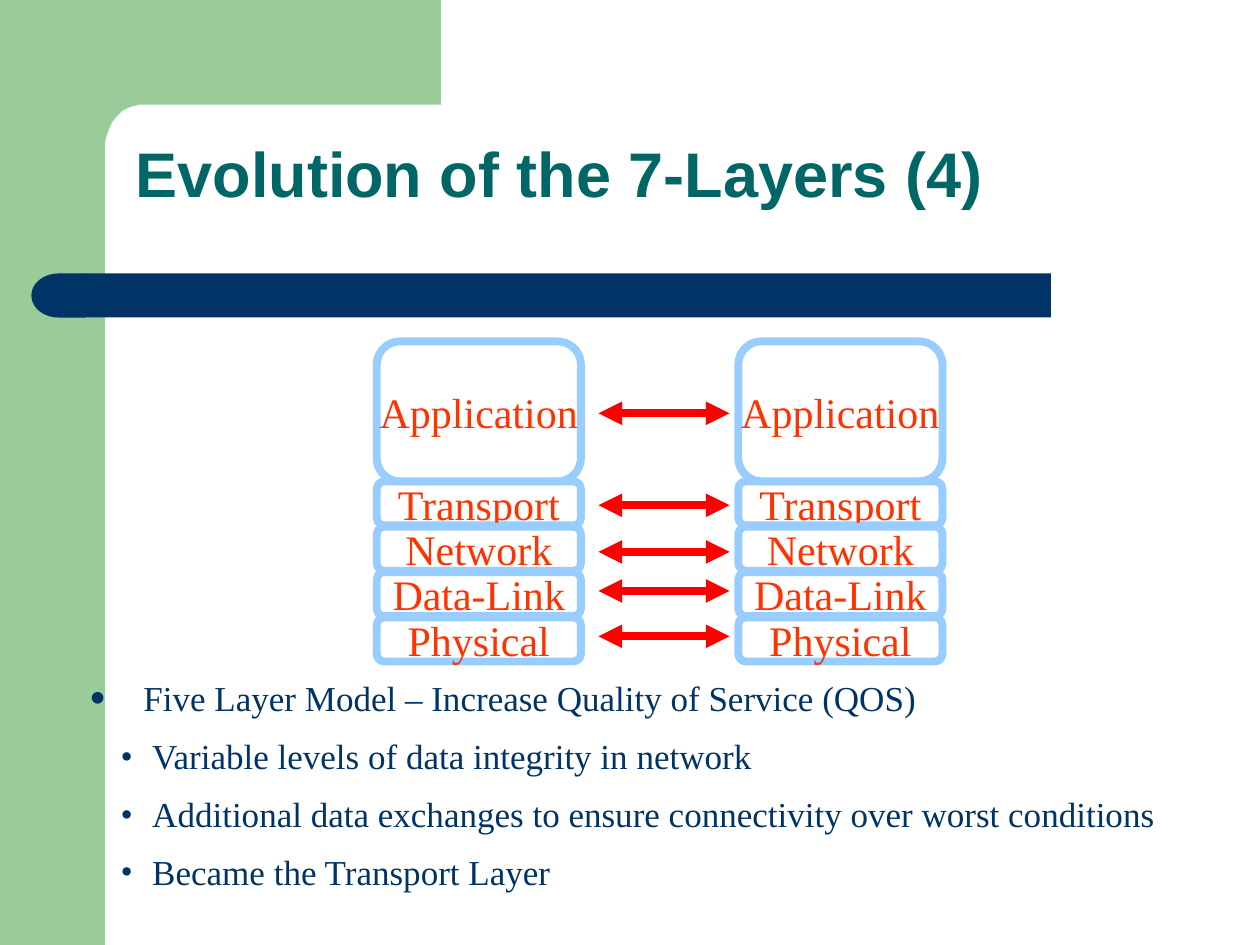
from collections import namedtuple

from lxml import etree
from pptx import Presentation, util as u
from pptx.dml.color import RGBColor
from pptx.enum import shapes, text
from pptx.oxml.ns import qn

Box = namedtuple("Box", "left top width height")
WIDTH, HEIGHT = 10, 7.5
GREEN, NAVY, TEAL = "99CC99", "003366", "006666"
SKY, ORANGE, RED, WHITE = "99CCFF", "FF3300", "FF0000", "FFFFFF"
SERIF = "Times New Roman"

# name, top, height and arrow position in inches below the top of the stack;
# in drawing order, as neighbouring outlines overlap
LAYERS = [
    ("Transport", 1.11, 0.35, 1.3),
    ("Application", 0, 1.11, 0.57),
    ("Network", 1.47, 0.35, 1.67),
    ("Physical", 2.19, 0.35, 2.34),
    ("Data-Link", 1.83, 0.35, 1.98),
]
POINTS = [
    ("Five Layer Model – Increase Quality of Service (QOS)", 0),
    ("Variable levels of data integrity in network", 1),
    ("Additional data exchanges to ensure connectivity over worst conditions", 1),
    ("Became the Transport Layer", 1),
]
# margin, hanging indent (inches) and bullet size (percent) for each level
LEVELS = [(0.43, -0.43, 140), (0.5, -0.25, 100)]


def color(value):
    return RGBColor.from_string(value)


def inches(box):
    return [u.Inches(length) for length in box]


def paint(shape, fill, line=None, weight=4.5):
    shape.shadow.inherit = False
    shape.fill.solid()
    shape.fill.fore_color.rgb = color(fill)
    if line:
        shape.line.color.rgb = color(line)
        shape.line.width = u.Pt(weight)
    else:
        shape.line.fill.background()


def add_block(page, kind, box, fill, line=None):
    shape = page.shapes.add_shape(kind, *inches(box))
    paint(shape, fill, line)
    return shape


def set_font(para, size, name, value, bold=False):
    para.font.size = u.Pt(size)
    para.font.name = name
    para.font.bold = bold
    para.font.color.rgb = color(value)


def add_backdrop(page, box):
    """Green side band with a rounded inner corner, and the navy title rule."""
    band = box.width / 12
    add_block(page, shapes.MSO_SHAPE.RECTANGLE, box._replace(width=band), GREEN)

    corner = [(3.5, 0), (3.5, 0.83), (1.11, 0.83), (1.03, 0.85), (0.97, 0.88),
              (0.93, 0.92), (0.89, 0.97), (0.86, 1.04), (0.84, 1.1),
              (0.83, 1.16), (0.83, 1.28), (0.5, 1.28)]
    outline = [(u.Inches(box.left + x), u.Inches(box.top + y)) for x, y in corner]
    outline.append((u.Inches(box.left + 0.5), u.Inches(box.top)))
    builder = page.shapes.build_freeform(*outline[0])
    builder.add_line_segments(outline[1:], close=True)
    paint(builder.convert_to_shape(), GREEN)

    rule = Box(box.left + 0.67, box.top + 2.17, 7.67, 0.35)
    add_block(page, shapes.MSO_SHAPE.RECTANGLE, rule, NAVY)
    cap = add_block(page, shapes.MSO_SHAPE.FLOWCHART_DELAY,
                    rule._replace(left=box.left + 0.25, width=0.43), NAVY)
    cap._element.spPr.find(qn("a:xfrm")).set("flipH", "1")


def add_title(page, box, words):
    frame = page.shapes.add_textbox(*inches(box)).text_frame
    frame.word_wrap = True
    frame.vertical_anchor = text.MSO_ANCHOR.MIDDLE
    para = frame.paragraphs[0]
    para.text = words
    para.line_spacing = 0.9
    set_font(para, 36, "Arial", TEAL, bold=True)


def add_stack(page, box):
    for name, top, height, _ in LAYERS:
        place = Box(box.left, box.top + top, box.width, height)
        layer = add_block(page, shapes.MSO_SHAPE.ROUNDED_RECTANGLE, place, WHITE, SKY)
        frame = layer.text_frame
        frame.word_wrap = False
        frame.vertical_anchor = text.MSO_ANCHOR.MIDDLE
        para = frame.paragraphs[0]
        para.text = name
        para.alignment = text.PP_ALIGN.CENTER
        set_font(para, 24, SERIF, ORANGE)


def add_double_arrow(page, left, right, level):
    arrow = page.shapes.add_connector(
        shapes.MSO_CONNECTOR.STRAIGHT,
        *inches((left, level, right, level)))
    arrow.line.color.rgb = color(RED)
    arrow.line.width = u.Pt(4.5)
    line = arrow.line._get_or_add_ln()
    for end in ("a:headEnd", "a:tailEnd"):
        etree.SubElement(line, qn(end), type="triangle")
    etree.SubElement(arrow._element.spPr, qn("a:effectLst"))


def add_layer_diagram(page, box):
    """Two equal stacks at the sides of the box, with arrows in the gap."""
    stack = 1.62
    right = box.left + box.width - stack
    for left in (box.left, right):
        add_stack(page, box._replace(left=left, width=stack))
    for *_, level in LAYERS:
        add_double_arrow(page, box.left + stack + 0.14, right - 0.07, box.top + level)


def add_bullet(para, level):
    margin, indent, percent = LEVELS[level]
    props = para._p.get_or_add_pPr()
    props.set("marL", str(u.Inches(margin)))
    props.set("indent", str(u.Inches(indent)))
    etree.SubElement(props, qn("a:buSzPct"), val=str(percent * 1000))
    etree.SubElement(props, qn("a:buFont"), typeface=SERIF)
    etree.SubElement(props, qn("a:buChar"), char="•")


def add_points(page, box):
    frame = page.shapes.add_textbox(*inches(box)).text_frame
    frame.word_wrap = True
    frame.margin_top = u.Inches(0.15)
    for index, (words, level) in enumerate(POINTS):
        para = frame.add_paragraph() if index else frame.paragraphs[0]
        para.text = words
        para.level = level
        para.line_spacing = 0.9
        if index:
            para.space_before = u.Pt(11.5)
        add_bullet(para, level)
        set_font(para, 20, SERIF, NAVY)


def main():
    deck = Presentation()
    deck.slide_width, deck.slide_height = u.Inches(WIDTH), u.Inches(HEIGHT)
    page = deck.slides.add_slide(deck.slide_layouts[6])
    add_backdrop(page, Box(0, 0, WIDTH, HEIGHT))
    add_title(page, Box(0.98, 0.91, 8.5, 1), "Evolution of the 7-Layers (4)")
    add_layer_diagram(page, Box(2.99, 2.71, 4.49, 2.54))
    add_points(page, Box(0.61, 5.26, 8.98, 1.94))
    deck.save("out.pptx")


if __name__ == "__main__":
    main()
